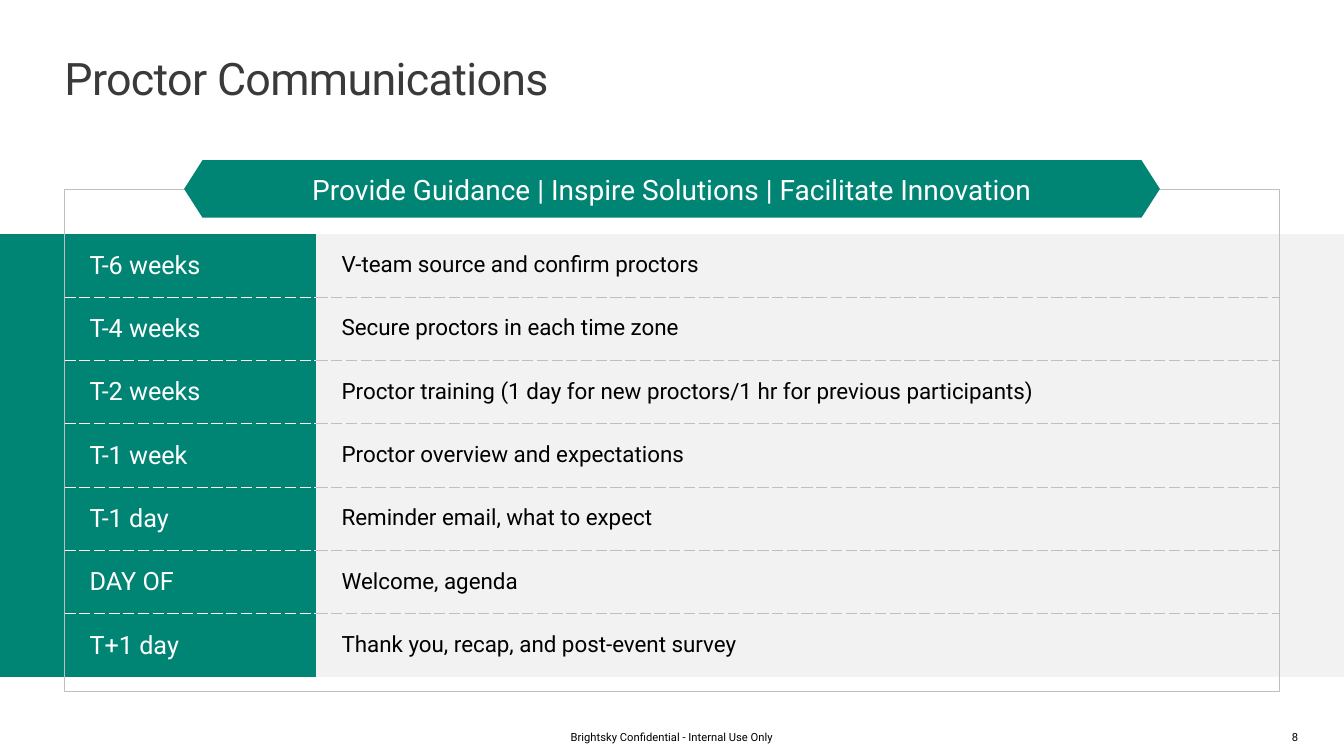
from pptx import Presentation
from pptx.dml.color import RGBColor
from pptx.enum.shapes import MSO_SHAPE
from pptx.enum.text import MSO_ANCHOR, MSO_AUTO_SIZE, PP_ALIGN
from pptx.oxml import parse_xml
from pptx.oxml.ns import nsdecls
from pptx.util import Pt

RECT, HEX = MSO_SHAPE.RECTANGLE, MSO_SHAPE.HEXAGON
TOP, MIDDLE = MSO_ANCHOR.TOP, MSO_ANCHOR.MIDDLE
LEFT, CENTER = PP_ALIGN.LEFT, PP_ALIGN.CENTER
GROW = MSO_AUTO_SIZE.SHAPE_TO_FIT_TEXT

WIDE, HIGH = 960, 540
EDGE, HEAD = 46, 167
SPAN, ROW, SIDE = WIDE - 2 * EDGE, 45.25, 150.5
GREEN, PALE, GRAY = "008575", "F2F2F2", "BFBFBF"
WHITE, BLACK, DARK = "FFFFFF", "000000", "3A3A3A"

STEPS = [
    ("T-6 weeks", "V-team source and confirm proctors"),
    ("T-4 weeks", "Secure proctors in each time zone"),
    ("T-2 weeks", "Proctor training (1 day for new proctors/1 hr for previous participants)"),
    ("T-1 week", "Proctor overview and expectations"),
    ("T-1 day", "Reminder email, what to expect"),
    ("DAY OF", "Welcome, agenda"),
    ("T+1 day", "Thank you, recap, and post-event survey"),
]


def color(code):
    return RGBColor.from_string(code)


def apply(item, values):
    for name, value in values.items():
        setattr(item, name, value)


def border(cell, lines):
    """Draw the sides named in lines (side to colour) and clear the others."""
    props = cell._tc.get_or_add_tcPr()
    for place, side in enumerate("LRTB"):
        if side in lines:
            paint = f'<a:solidFill><a:srgbClr val="{lines[side]}"/></a:solidFill><a:prstDash val="sysDash"/>'
        else:
            paint = "<a:noFill/>"
        props.insert(place, parse_xml(
            f'<a:ln{side} {nsdecls("a")} w="{Pt(0.5)}">{paint}</a:ln{side}>'))


class Deck:
    def __init__(self, font):
        self.font = font
        self.file = Presentation()
        apply(self.file, {"slide_width": Pt(WIDE), "slide_height": Pt(HIGH)})
        self.slide = self.file.slides.add_slide(self.file.slide_layouts[6])

    def text(self, frame, words, size, tint, align=LEFT):
        para = frame.paragraphs[0]
        para.alignment = align
        run = para.add_run()
        run.text = words
        apply(run.font, {"name": self.font, "size": Pt(size)})
        run.font.color.rgb = color(tint)
        return run

    def label(self, box, words, size, tint, align=CENTER, anchor=MIDDLE):
        frame = self.slide.shapes.add_textbox(*map(Pt, box)).text_frame
        apply(frame, {"word_wrap": True, "auto_size": GROW, "vertical_anchor": anchor,
                      "margin_left": 0, "margin_right": 0,
                      "margin_top": 0, "margin_bottom": 0})
        return self.text(frame, words, size, tint, align)

    def shape(self, kind, box, fill=None, line=None):
        shape = self.slide.shapes.add_shape(kind, *map(Pt, box))
        shape.shadow.inherit = False
        for part, tint in ((shape.fill, fill), (shape.line.fill, line)):
            if tint:
                part.solid()
                part.fore_color.rgb = color(tint)
            else:
                part.background()
        if line:
            shape.line.width = Pt(0.5)
        return shape

    def table(self, left, widths, count, height):
        box = map(Pt, (left, HEAD, sum(widths), count * height))
        table = self.slide.shapes.add_table(count, len(widths), *box).table
        apply(table, {"first_row": False, "horz_banding": False})
        for col, width in zip(table.columns, widths):
            col.width = Pt(width)
        for row in table.rows:
            row.height = Pt(height)
        return table

    def cell(self, cell, fill, lines):
        cell.fill.solid()
        cell.fill.fore_color.rgb = color(fill)
        border(cell, lines)

    def band(self, left, fill):
        table = self.table(left, [SIDE], 1, len(STEPS) * ROW)
        self.cell(table.cell(0, 0), fill, {})

    def plan(self, steps):
        table = self.table(EDGE, [180, SPAN - 180], len(steps), ROW)
        looks = ((GREEN, WHITE, WHITE, 18, 1.0), (PALE, GRAY, BLACK, 16, 0.9))
        for row, step in enumerate(steps):
            sides = ("T" if row else "") + ("B" if row < len(steps) - 1 else "")
            for col, (fill, line, tint, size, lead) in enumerate(looks):
                cell = table.cell(row, col)
                self.cell(cell, fill, dict.fromkeys(sides, line))
                apply(cell, {"vertical_anchor": MIDDLE, "margin_left": Pt(18)})
                self.text(cell.text_frame, step[col], size, tint)
                cell.text_frame.paragraphs[0].line_spacing = lead


def main():
    deck = Deck("Roboto")
    deck.band(0, GREEN)
    deck.band(WIDE - SIDE, PALE)
    title = deck.label((EDGE, 36, SPAN, 39), "Proctor Communications", 32, DARK, LEFT, TOP)
    title.font._element.set("spc", "-50")
    deck.label((318, 522, 324, 9.5), "Brightsky Confidential - Internal Use Only", 8, BLACK)
    deck.label((916.5, 522, 17, 9.5), "8", 8, BLACK)
    deck.plan(STEPS)
    deck.shape(RECT, (EDGE, 135.25, SPAN, 358.5), line=GRAY)
    banner = deck.shape(HEX, (131.5, 114.5, 697, 41), fill=GREEN)
    banner.adjustments[0] = 0.32
    banner.text_frame.vertical_anchor = MIDDLE
    deck.text(banner.text_frame, "Provide Guidance | Inspire Solutions | Facilitate Innovation",
              20, WHITE, CENTER)
    deck.file.save("out.pptx")


if __name__ == "__main__":
    main()
